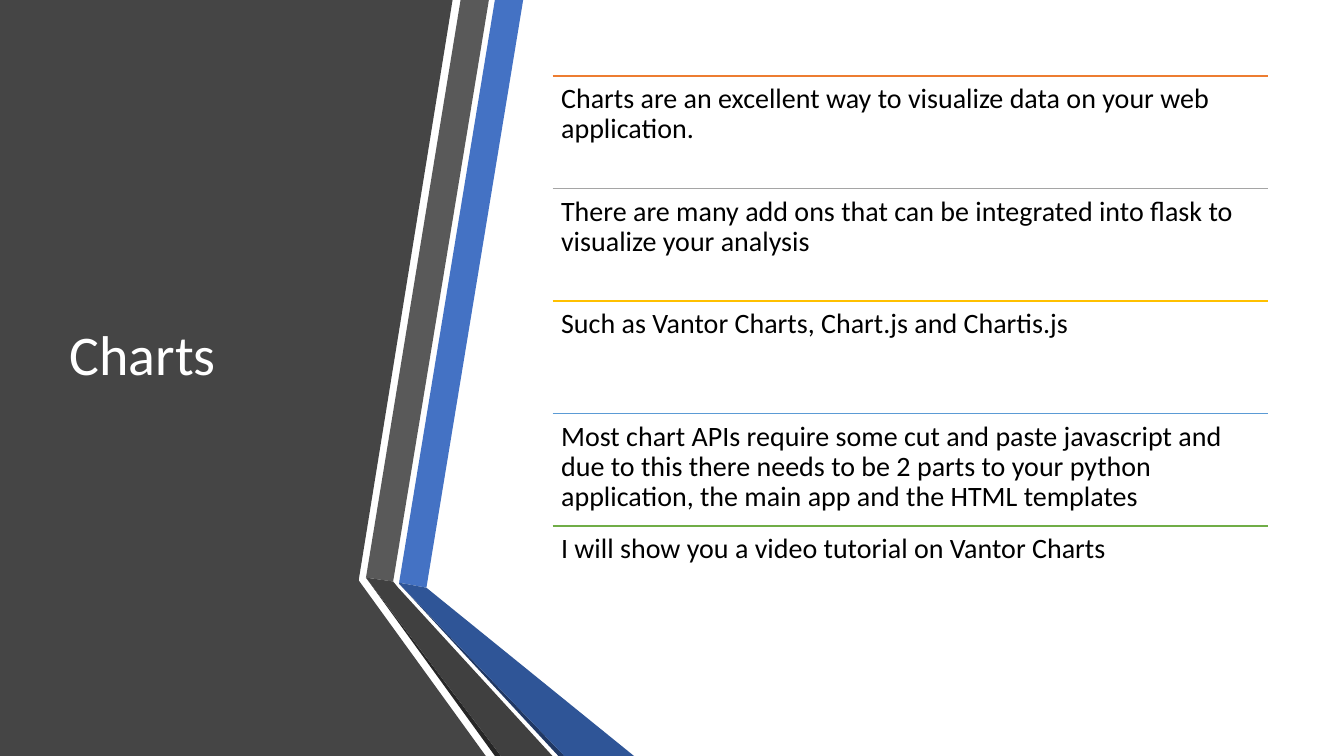
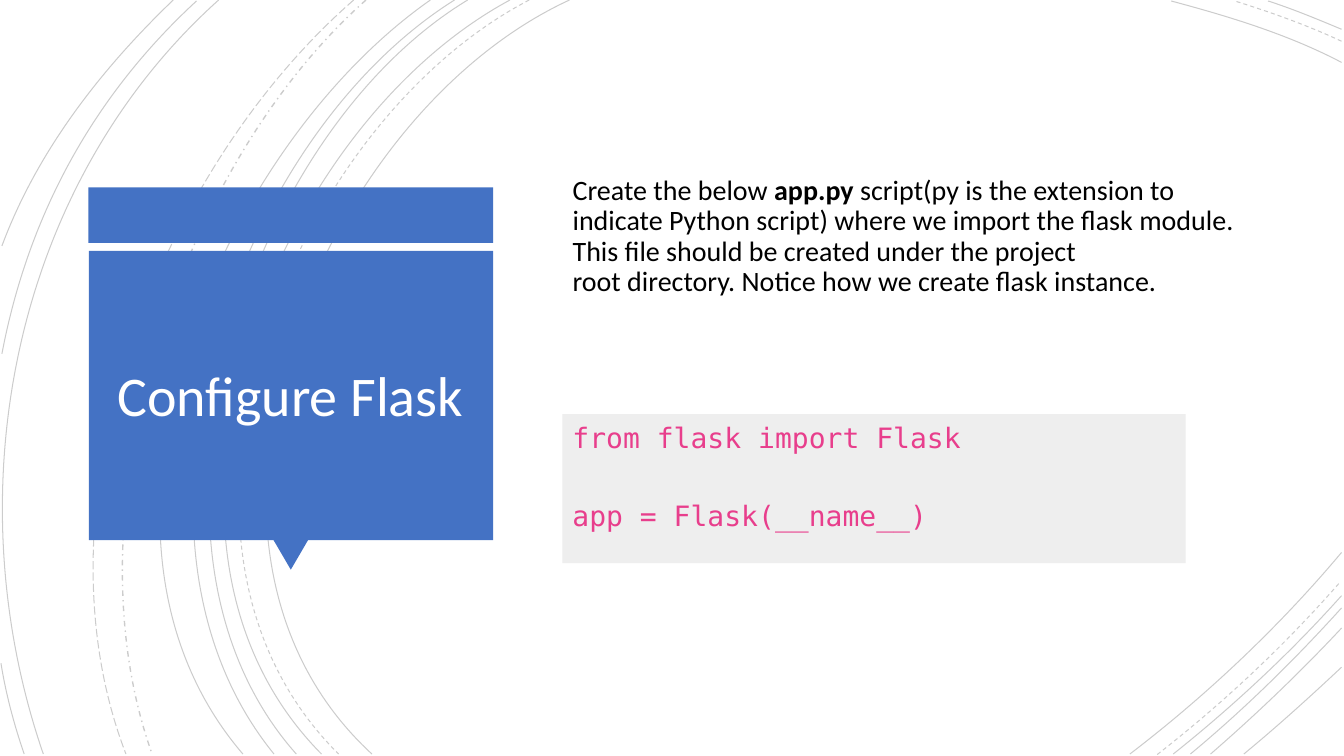
from lxml.etree import SubElement
from pptx import Presentation
from pptx.dml.color import RGBColor as RGB
from pptx.enum.dml import MSO_LINE as DASH
from pptx.enum.shapes import MSO_CONNECTOR as CONN, MSO_SHAPE as SHAPE
from pptx.enum.text import MSO_ANCHOR as ANCHOR, MSO_AUTO_SIZE as AUTO, PP_ALIGN as ALIGN
from pptx.oxml.ns import qn
from pptx.util import Pt

COLORS = {
    "black": "000000", "white": "FFFFFF", "panel": "454545",
    "blue": "4472C4", "blue_dark": "2F5597", "blue_edge": "203864",
    "gray": "595959", "gray_dark": "404040", "gray_edge": "262626",
    "orange": "ED7D31", "silver": "A5A5A5", "gold": "FFC000",
    "sky": "5B9BD5", "green": "70AD47", "code": "E83E8C", "code_back": "EEEEEE",
}
FONT, MONO = "Calibri", "DejaVu Sans Mono"
NBSP = chr(160)
W, H = 960, 540

PANEL = [(0, 0), (323.3, 0), (256.3, 414), (256.3, 414.7), (347, 540), (0, 540)]
RIBBONS = [
    ("blue", [(285.1, 416.2), (304.6, 419.8), (373.7, 0), (353.5, 0)]),
    ("gray", [(349.2, 0), (329, 0), (261.4, 412.6), (280.8, 415.4)]),
    ("gray_edge", [(261.4, 412.6), (353.5, 540), (357.8, 540)]),
    ("blue_edge", [(285.1, 416.9), (398.9, 540), (403.2, 540)]),
    ("blue_dark", [(285.1, 416.2), (285.1, 416.9), (403.2, 540), (452.9, 540),
                   (304.6, 419.8)]),
    ("gray_dark", [(394.6, 540), (284.4, 419.8), (280.8, 415.4), (261.4, 412.6),
                   (357.8, 540)]),
]
ARCS = [
    (DASH.SOLID, 0.75, [
        [(406.8, 0), (226.8, 82.8), (103, 388.8), (265.7, 538.6)],
        [(958.3, 44.6), (920.2, 24.5), (877, 11.5), (836.6, 0.7)],
        [(807.1, 538.6), (861.8, 496.8), (913.7, 447.8), (958.3, 394.6)],
        [(364.3, 0), (194.4, 91.4), (79.2, 386.6), (229.7, 538.6)],
        [(958.3, 20.9), (941, 13.7), (923.8, 6.5), (905.8, 0.7)],
        [(838.1, 538.6), (880.6, 504.7), (921.6, 466.6), (958.3, 425.5)],
        [(334.1, 0), (175.7, 95.8), (79.2, 389.5), (211.7, 538.6)],
        [(850.3, 538.6), (888.5, 506.9), (924.5, 471.6), (958.3, 434.2)],
        [(324.7, 0), (166.3, 99.4), (69.8, 383.8), (195.8, 538.6)],
        [(864.7, 538.6), (897.1, 510.5), (928.8, 480.2), (958.3, 448.6)],
        [(307.4, 0), (156.2, 105.8), (38.2, 380.9), (173.5, 538.6)],
        [(888.5, 538.6), (912.2, 519.1), (935.3, 498.2), (958.3, 476.6)],
        [(156.2, 0), (7.9, 133.2), (-33.1, 352.8), (31, 538.6)],
        [(140.4, 0.7), (66.2, 69.1), (20.2, 154.1), (1.4, 252.7)],
        [(0.7, 473.8), (4.3, 496.1), (10.1, 517.7), (17.3, 538.6)],
        [(123.8, 0), (72, 49.7), (26.6, 108), (1.4, 175.7)],
    ]),
    (DASH.DASH, 0.75, [
        [(378, 0), (205.2, 90), (88.6, 386.6), (241.9, 538.6)],
        [(958.3, 29.5), (933.8, 18), (907.2, 8.6), (882, 0.7)],
        [(826.6, 539), (873.4, 502.6), (918, 460.8), (957.6, 415.4)],
    ]),
    (DASH.DASH_DOT, 1, [[(261.4, 0), (126.7, 119.5), (46.8, 366.5), (108.7, 538.6)]]),
    (DASH.LONG_DASH, 0.75, [[(252.7, 0), (113, 121.7), (20.9, 359.3), (90, 538.6)]]),
]
POINTS = [
    ("orange", "Charts are an excellent way to visualize data on your web application."),
    ("silver", "There are many add ons that can be integrated into flask to visualize "
               "your analysis"),
    ("gold", "Such as Vantor Charts, Chart.js and Chartis.js"),
    ("sky", "Most chart APIs require some cut and paste javascript and due to this there "
            "needs to be 2 parts to your python application, the main app and the HTML "
            "templates"),
    ("green", "I will show you a video tutorial on Vantor Charts"),
]
INTRO = [
    (f"Create the below{NBSP}", False),
    ("app.py", True),
    (f"{NBSP}script(py is the extension to indicate Python script) where we import the "
     f"flask module. This file should be created under{NBSP}the project "
     f"root{NBSP}directory. Notice how we create flask instance.", False),
]
CODE = ["from flask import Flask", "app = Flask(__name__)"]


def rgb(name):
    """Return the named palette colour."""
    return RGB.from_string(COLORS[name])


def paint(sp, color):
    """Give a shape a flat fill with no outline or shadow."""
    sp.shadow.inherit = False
    sp.fill.solid()
    sp.fill.fore_color.rgb = rgb(color)
    sp.line.fill.background()


def add_box(shapes, kind, box, color):
    """Add a flat preset shape."""
    sp = shapes.add_shape(kind, *map(Pt, box))
    paint(sp, color)
    return sp


def add_outline(shapes, origin, points, close=True):
    """Add a freeform through points measured from the origin."""
    x, y = origin
    pts = [(Pt(x + px), Pt(y + py)) for px, py in points]
    fb = shapes.build_freeform(*pts[0])
    fb.add_line_segments(pts[1:], close=close)
    return fb.convert_to_shape()


def add_curve(shapes, origin, points):
    """Add one cubic curve from its end and control points."""
    sp = add_outline(shapes, origin, points, close=False)
    segments = list(sp.element.spPr.iter(qn("a:lnTo")))
    outline = segments[0].getparent()
    curve = SubElement(outline, qn("a:cubicBezTo"))
    for segment in segments:
        curve.append(segment[0])
        outline.remove(segment)
    return sp


def place(sp, box):
    """Move and size a shape."""
    sp.left, sp.top, sp.width, sp.height = map(Pt, box)


def set_frame(tf, anchor=ANCHOR.TOP, insets=(7.2, 3.6, 7.2, 3.6)):
    """Set wrapping, anchor and insets of a text frame."""
    tf.word_wrap = True
    tf.auto_size = AUTO.NONE
    tf.vertical_anchor = anchor
    tf.margin_left, tf.margin_top, tf.margin_right, tf.margin_bottom = map(Pt, insets)


def style(p, size, color, font=FONT, align=ALIGN.LEFT, spacing=0.9):
    """Format a paragraph and its runs."""
    p.alignment = align
    p.line_spacing = spacing
    p.space_before = Pt(0)
    for r in p.runs:
        r.font.size, r.font.name = Pt(size), font
        r.font.color.rgb = rgb(color)


def set_title(s, text, box, align=ALIGN.LEFT):
    """Fill the title placeholder and bring it to the front."""
    sp = s.shapes.title
    place(sp, box)
    s.shapes.element.append(sp.element)
    tf = sp.text_frame
    set_frame(tf, ANCHOR.MIDDLE)
    tf.text = text
    style(tf.paragraphs[0], 40, "white", align=align)


def add_ribbons(s, box):
    """Draw the dark panel and its folded ribbons."""
    origin = box[:2]
    paint(add_outline(s.shapes, origin, PANEL), "panel")
    group = s.shapes.add_group_shape()
    for color, points in RIBBONS:
        paint(add_outline(group.shapes, origin, points), color)


def add_ruled_list(s, box, items):
    """Stack equal rows of text, each under a coloured rule."""
    x, y, w, h = box
    row = h / len(items)
    for i, (color, text) in enumerate(items):
        top = y + i * row
        line = s.shapes.add_connector(CONN.STRAIGHT, Pt(x), Pt(top), Pt(x + w), Pt(top))
        line.line.color.rgb = rgb(color)
        line.line.width = Pt(1)
        SubElement(line.element.spPr, qn("a:effectLst"))
        tf = s.shapes.add_textbox(Pt(x), Pt(top), Pt(w), Pt(row)).text_frame
        set_frame(tf, insets=(6, 6, 6, 6))
        tf.text = text
        style(tf.paragraphs[0], 20, "black")


def add_arcs(s, box):
    """Draw the faint background arcs."""
    group = s.shapes.add_group_shape()
    for dash, width, curves in ARCS:
        for points in curves:
            sp = add_curve(group.shapes, box[:2], points)
            sp.shadow.inherit = False
            sp.fill.background()
            sp.line.color.rgb = rgb("black")
            sp.line.width = Pt(width)
            sp.line.dash_style = dash
            for clr in sp.element.spPr.iter(qn("a:srgbClr")):
                SubElement(clr, qn("a:alpha"), val="20000")


def add_callout(s, box, text):
    """Draw the title block with its top band and pointer."""
    x, y, w, h = box
    group = s.shapes.add_group_shape()
    add_box(group.shapes, SHAPE.RECTANGLE, (x, y, w, 39.6), "blue")
    tip = add_box(group.shapes, SHAPE.ISOSCELES_TRIANGLE,
                  (x + w / 2 - 12.6, y + h - 0.6, 25.2, 21.6), "blue")
    tip.rotation = 180
    add_box(group.shapes, SHAPE.RECTANGLE, (x + 0.4, y + 45.4, w - 0.4, h - 45.4), "blue")
    set_title(s, text, (x + 8.7, y + 56.2, w - 18, 188.6), ALIGN.CENTER)


def add_intro(s, box, parts):
    """Fill the body placeholder with one unbulleted paragraph."""
    sp = s.placeholders[1]
    place(sp, box)
    s.shapes.element.append(sp.element)
    tf = sp.text_frame
    set_frame(tf, insets=(7.2, 9.5, 7.2, 3.6))
    p = tf.paragraphs[0]
    for text, bold in parts:
        r = p.add_run()
        r.text = text
        r.font.bold = bold
    style(p, 20, "black")
    pPr = p._p.get_or_add_pPr()
    pPr.set("marL", "0")
    pPr.set("indent", "0")
    SubElement(pPr, qn("a:buNone"))


def add_code(s, box, lines):
    """Add a shaded block of code lines."""
    tf = add_box(s.shapes, SHAPE.RECTANGLE, box, "code_back").text_frame
    set_frame(tf, insets=(7.2, 4.3, 7.2, 3.6))
    tf.text = "\n".join(lines)
    for i, p in enumerate(tf.paragraphs):
        style(p, 20, "code", MONO, spacing=1.0)
        p.space_before = Pt(31.8 if i else 0)


def charts_slide(prs, box):
    """Build the slide about charts."""
    s = prs.slides.add_slide(prs.slide_layouts[5])
    x, y, w, h = box
    add_ribbons(s, box)
    set_title(s, "Charts", (x + 42.5, y + 54.4, 218.9, 401.8))
    add_ruled_list(s, (x + 394.8, y + 54.2, 511.2, 402), POINTS)


def flask_slide(prs, box):
    """Build the slide about configuring the application."""
    s = prs.slides.add_slide(prs.slide_layouts[1])
    x, y, w, h = box
    add_arcs(s, box)
    add_callout(s, (x + 63.1, y + 133.9, 289.2, 252), "Configure Flask")
    add_intro(s, (x + 401.8, y + 116.6, 494.6, 126.7), INTRO)
    add_code(s, (x + 401.8, y + 295.9, 445.2, 106.4), CODE)


def main():
    """Build and save the presentation."""
    prs = Presentation()
    prs.slide_width, prs.slide_height = Pt(W), Pt(H)
    page = (0, 0, W, H)
    charts_slide(prs, page)
    flask_slide(prs, page)
    prs.save("out.pptx")


if __name__ == "__main__":
    main()
